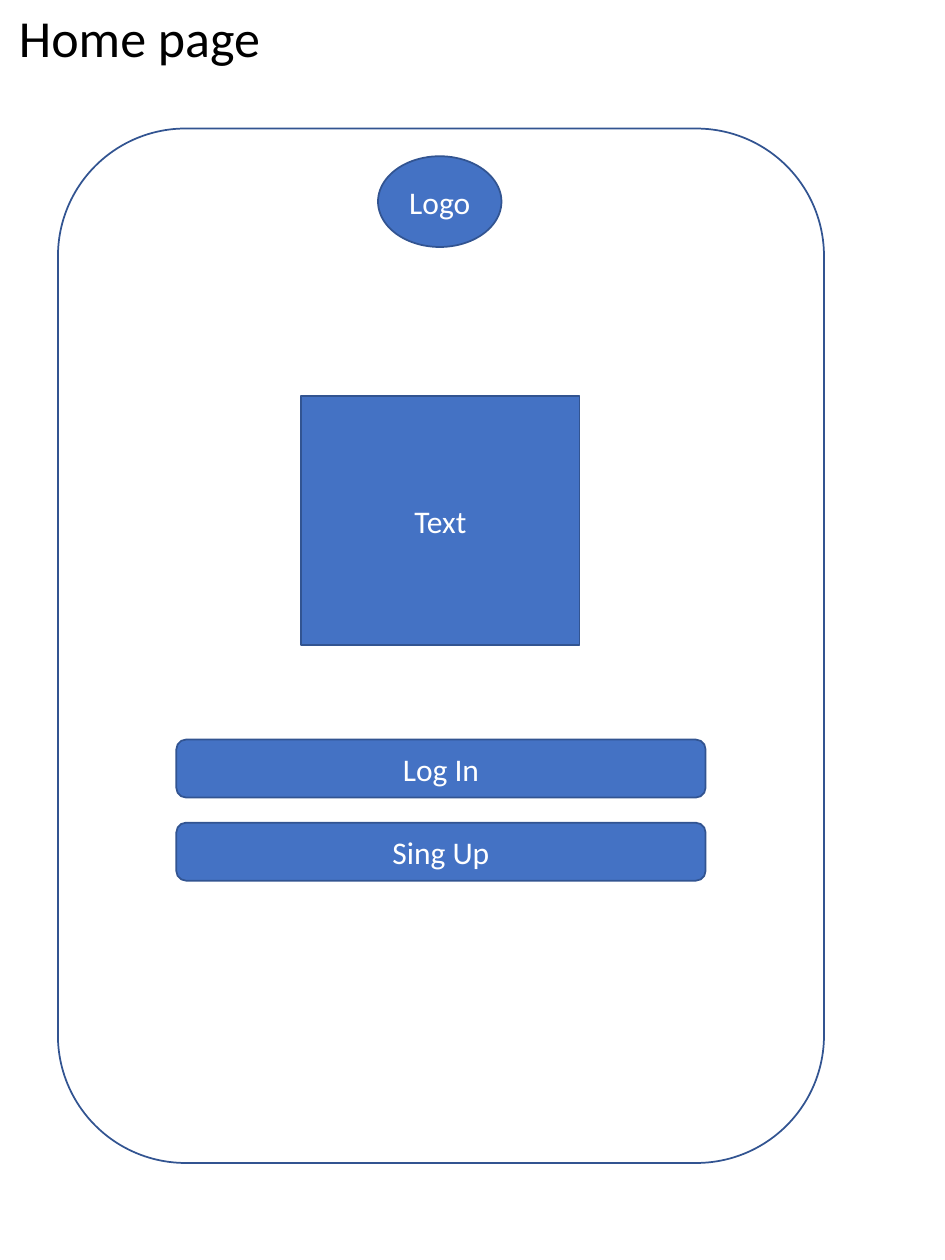
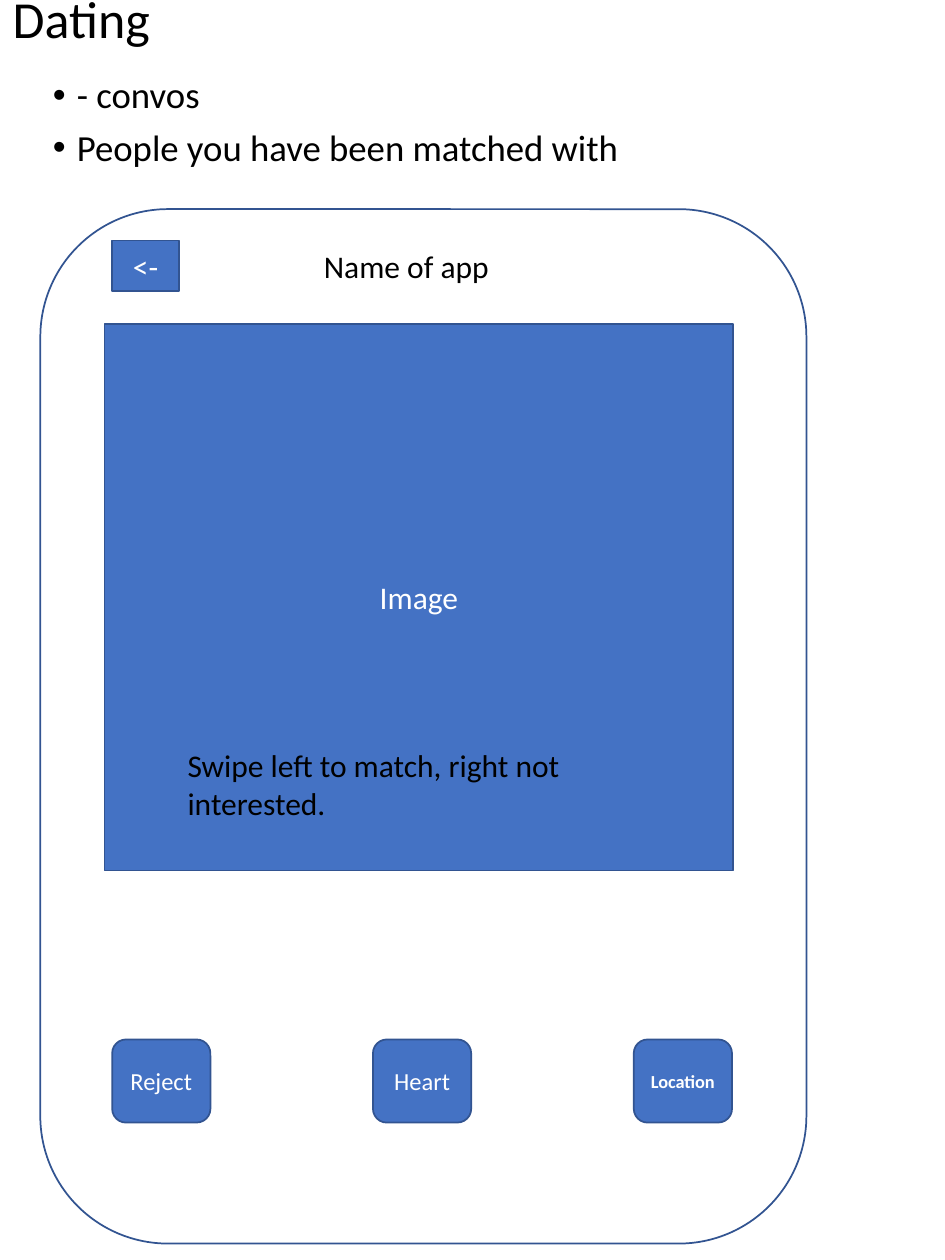
from lxml import etree
from pptx import Presentation
from pptx.dml.color import RGBColor
from pptx.enum.shapes import MSO_SHAPE
from pptx.enum.text import MSO_ANCHOR, MSO_AUTO_SIZE, PP_ALIGN
from pptx.oxml.ns import qn
from pptx.util import Emu, Pt

RECTANGLE = MSO_SHAPE.RECTANGLE
ROUNDED = MSO_SHAPE.ROUNDED_RECTANGLE
OVAL = MSO_SHAPE.OVAL
LEFT, CENTER = PP_ALIGN.LEFT, PP_ALIGN.CENTER
TOP, MIDDLE = MSO_ANCHOR.TOP, MSO_ANCHOR.MIDDLE
NO_AUTOFIT = MSO_AUTO_SIZE.NONE

PX = 9144  # EMU in one px, 100 px to the inch
SLIDE_SIZE = (750, 1000)
PHONE_SIZE = (608, 821)
FONT = "Calibri"
COLORS = {"paper": "FFFFFF", "ink": "000000", "fill": "4472C4", "line": "325491"}
TITLE_AND_CONTENT, TITLE_ONLY = 1, 5


def px(length):
    return Emu(length * PX)


def color(name):
    return RGBColor.from_string(COLORS[name])


class Wireframe:
    def __init__(self, presentation):
        self.presentation = presentation
        self.slide = None

    def new_slide(self, layout, title, box):
        layouts = self.presentation.slide_layouts
        self.slide = self.presentation.slides.add_slide(layouts[layout])
        self.place(self.slide.shapes.title, box)
        self.set_text(self.slide.shapes.title, title, 29.7, "ink", LEFT, MIDDLE)
        self.slide.shapes.title.text_frame.paragraphs[0].line_spacing = 0.9

    def place(self, shape, box):
        shape.left, shape.top, shape.width, shape.height = map(px, box)

    def set_text(self, shape, text, size, ink, alignment, anchor, wrap=True, bold=False):
        frame = shape.text_frame
        frame.text = text
        frame.word_wrap = wrap
        frame.auto_size = NO_AUTOFIT
        frame.vertical_anchor = anchor
        for paragraph in frame.paragraphs:
            paragraph.alignment = alignment
            for run in paragraph.runs:
                run.font.name = FONT
                run.font.size = Pt(size)
                run.font.bold = bold
                run.font.color.rgb = color(ink)

    def bullets(self, lines, box):
        body = self.slide.placeholders[1]
        self.place(body, box)
        self.set_text(body, "\n".join(lines), 21, "ink", LEFT, TOP)
        for paragraph in body.text_frame.paragraphs:
            paragraph.line_spacing = 0.9
            paragraph.space_before = Pt(7.5)
            properties = paragraph._p.get_or_add_pPr()
            properties.set("marL", str(px(19)))
            properties.set("indent", str(px(-19)))
            etree.SubElement(properties, qn("a:buChar"), char="•")

    def shape(self, kind, box, fill="fill"):
        shape = self.slide.shapes.add_shape(kind, *map(px, box))
        shape.shadow.inherit = False
        shape.fill.solid()
        shape.fill.fore_color.rgb = color(fill)
        shape.line.color.rgb = color("line")
        shape.line.width = Pt(1)
        return shape

    def phone(self, left, top):
        self.shape(ROUNDED, (left, top, *PHONE_SIZE), "paper")

    def block(self, kind, text, box, size=18, bold=False):
        self.set_text(self.shape(kind, box), text, size, "paper", CENTER, MIDDLE, False, bold)

    def label(self, text, box, alignment=LEFT):
        text_box = self.slide.shapes.add_textbox(*map(px, box))
        self.set_text(text_box, text, 18, "ink", alignment, TOP)


def home_page(wireframe):
    wireframe.new_slide(TITLE_ONLY, "Home page", (5, 14, 247, 36))
    wireframe.phone(46, 102)
    for row, text in enumerate(("Log In", "Sing Up")):
        wireframe.block(ROUNDED, text, (140, 587 + 66 * row, 420, 46))
    wireframe.block(RECTANGLE, "Text", (239, 314, 221, 198))
    wireframe.block(OVAL, "Logo", (300, 124, 98, 72))


def dating_page(wireframe):
    wireframe.new_slide(TITLE_AND_CONTENT, "Dating", (0, 0, 142, 35))
    wireframe.bullets(("- convos", "People you have been matched with"), (32, 56, 608, 99))
    wireframe.phone(32, 166)
    wireframe.block(RECTANGLE, "Image", (83, 257, 499, 434))
    buttons = (("Reject", 14, False), ("Heart", 14, False), ("Location", 10.5, True))
    for column, (text, size, bold) in enumerate(buttons):
        wireframe.block(ROUNDED, text, (89 + 207 * column, 825, 78, 66), size, bold)
    wireframe.label("Name of app", (222, 191, 201, 40), CENTER)
    wireframe.block(RECTANGLE, "<-", (89, 191, 53, 40))
    wireframe.label("Swipe left to match, right not interested.", (139, 587, 392, 71))


def main():
    presentation = Presentation()
    presentation.slide_width, presentation.slide_height = map(px, SLIDE_SIZE)
    wireframe = Wireframe(presentation)
    home_page(wireframe)
    dating_page(wireframe)
    presentation.save("out.pptx")


if __name__ == "__main__":
    main()
